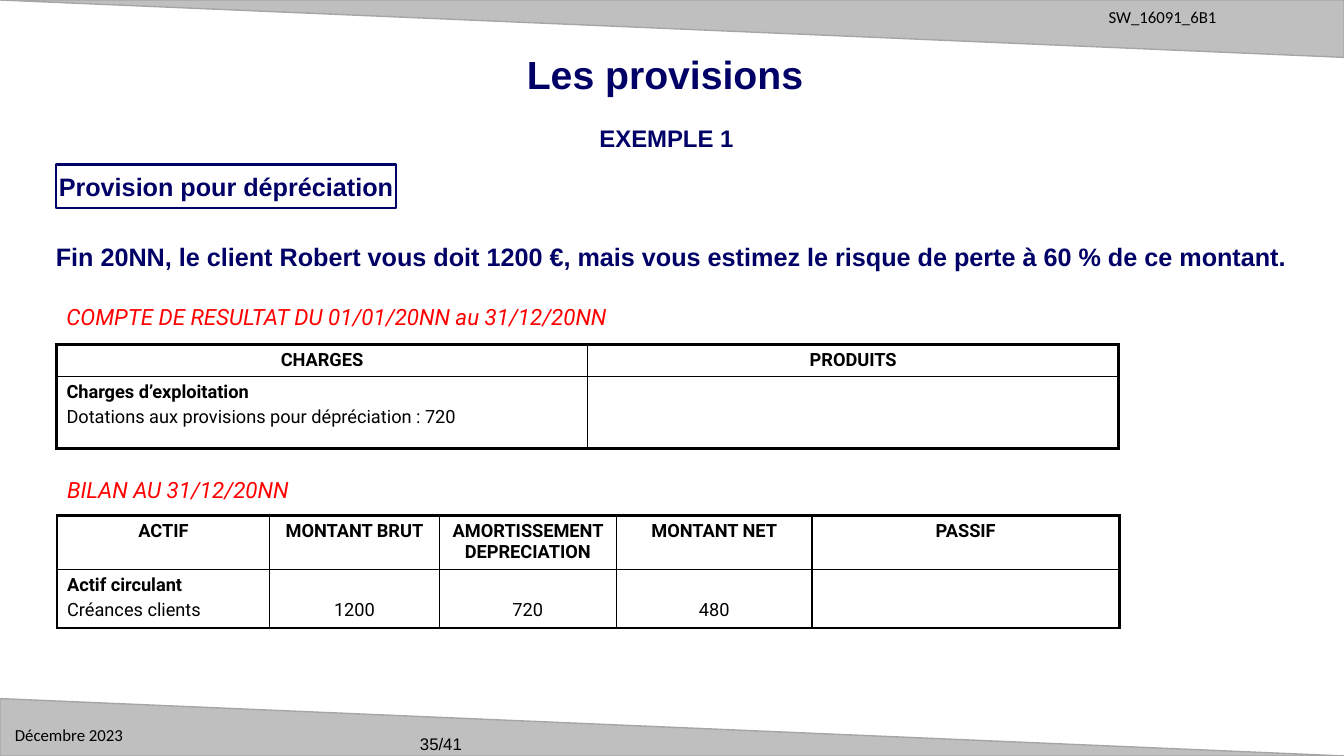
from dataclasses import dataclass

from lxml import etree
from pptx import Presentation
from pptx.dml.color import RGBColor
from pptx.enum.shapes import MSO_SHAPE
from pptx.enum.text import MSO_ANCHOR, MSO_AUTO_SIZE, PP_ALIGN
from pptx.oxml.ns import qn
from pptx.util import Pt

TRIANGLE, RECTANGLE = MSO_SHAPE.ISOSCELES_TRIANGLE, MSO_SHAPE.RECTANGLE
LEFT, CENTER = PP_ALIGN.LEFT, PP_ALIGN.CENTER
TOP, MIDDLE, BOTTOM = MSO_ANCHOR.TOP, MSO_ANCHOR.MIDDLE, MSO_ANCHOR.BOTTOM
NO_AUTOFIT = MSO_AUTO_SIZE.NONE
TITLE_ONLY = 5
PAGE_WIDTH, PAGE_HEIGHT = 960, 540


@dataclass(frozen=True)
class Style:
    font: str
    size: float
    color: str
    bold: bool = False
    italic: bool = False


@dataclass(frozen=True)
class Theme:
    white: str = "FFFFFF"
    navy: str = "000066"
    black: str = "000000"
    band: str = "BFBFBF"
    band_line: str = "A6A6A6"
    outer_border: float = 2.25
    inner_border: float = 1
    title: Style = Style("Arial", 28, "000066", bold=True)
    subtitle: Style = Style("Arial", 17.1, "000066", bold=True)
    statement: Style = Style("Arial", 18, "000066", bold=True)
    caption: Style = Style("Roboto", 16, "FF0000", italic=True)
    cell: Style = Style("Roboto", 13, "000000")
    cell_bold: Style = Style("Roboto", 13, "000000", bold=True)
    page_number: Style = Style("Arial", 12, "000000")
    footer: Style = Style("Calibri", 12, "000000")


THEME = Theme()


def write(frame, lines, align=LEFT):
    """Fill a text frame with one paragraph per (text, style) pair."""
    for index, (text, style) in enumerate(lines):
        para = frame.add_paragraph() if index else frame.paragraphs[0]
        para.alignment = align
        if index:
            para.space_before = Pt(0.2 * style.size)
        span = para.add_run()
        span.text = text
        font = span.font
        font.name, font.size = style.font, Pt(style.size)
        font.bold, font.italic = style.bold, style.italic
        font.color.rgb = RGBColor.from_string(style.color)


def add_label(page, box, text, style, align=LEFT, anchor=TOP, wrap=True):
    frame = page.shapes.add_textbox(*map(Pt, box)).text_frame
    frame.word_wrap = wrap
    frame.vertical_anchor = anchor
    write(frame, [(text, style)], align)


def add_panel(page, preset, box, fill, line, width):
    panel = page.shapes.add_shape(preset, *map(Pt, box))
    panel.shadow.inherit = False
    panel.fill.solid()
    panel.fill.fore_color.rgb = RGBColor.from_string(fill)
    panel.line.color.rgb = RGBColor.from_string(line)
    panel.line.width = Pt(width)
    return panel


def add_band(page, box, rotation=0):
    band = add_panel(page, TRIANGLE, box, THEME.band, THEME.band_line, 1)
    band.adjustments[0] = 0
    band.rotation = rotation


def add_header(page, box):
    left, top, width, height = box
    add_band(page, box, 180)
    add_label(page, (left + width - 175.2, top + 1.4, 172, 21.6),
              "SW_16091_6B1", THEME.footer)


def add_footer(page, box):
    left, top, width, height = box
    add_band(page, box)
    add_label(page, (left + 3.6, top + 15.1, 100, 21.6), "Décembre 2023", THEME.footer)
    add_label(page, (left + 275, top + 21.5, 80, 21.6), "35/41",
              THEME.page_number, CENTER)


def add_titles(page, box):
    left, top, width, height = box
    title = page.shapes.title
    title.left, title.top, title.width, title.height = map(Pt, box)
    frame = title.text_frame
    frame.auto_size = NO_AUTOFIT
    frame.word_wrap = False
    frame.vertical_anchor = MIDDLE
    write(frame, [("Les provisions", THEME.title)], CENTER)
    add_label(page, (left - 103, top + 52.5, 422, 28), "EXEMPLE 1",
              THEME.subtitle, CENTER, MIDDLE)


def add_case(page, box):
    """Framed topic above the sentence that states the case."""
    left, top, width, height = box
    topic = add_panel(page, RECTANGLE, (left, top, 243, 31),
                      THEME.white, THEME.navy, 1.5)
    frame = topic.text_frame
    frame.word_wrap = False
    frame.vertical_anchor = MIDDLE
    write(frame, [("Provision pour dépréciation", THEME.statement)], CENTER)
    add_label(page, (left - 10.5, top + height - 29, width, 29),
              "Fin 20NN, le client Robert vous doit 1200 €, mais vous estimez "
              "le risque de perte à 60 % de ce montant.",
              THEME.statement, CENTER)


def set_borders(cell, outer_sides):
    properties = cell._tc.get_or_add_tcPr()
    for index, side in enumerate("LRTB"):
        width = THEME.outer_border if side in outer_sides else THEME.inner_border
        line = etree.Element(qn(f"a:ln{side}"), w=str(Pt(width)))
        fill = etree.SubElement(line, qn("a:solidFill"))
        etree.SubElement(fill, qn("a:srgbClr"), val=THEME.black)
        properties.insert(index, line)


def add_statement(page, box, caption, columns, row_heights, headings, entries):
    """Red caption over a ruled table: a row of headings, a row of entries."""
    left, top, width, height = box
    add_label(page, (left, top, width, 27), caption, THEME.caption, wrap=False)
    table_top = top + height - sum(row_heights)
    table = page.shapes.add_table(2, len(columns), Pt(left), Pt(table_top),
                                  Pt(width), Pt(sum(row_heights))).table
    table.first_row = table.horz_banding = False
    for column, column_width in zip(table.columns, columns):
        column.width = Pt(column_width)
    for row, row_height in zip(table.rows, row_heights):
        row.height = Pt(row_height)

    last = len(columns) - 1
    for index, (heading, lines) in enumerate(zip(headings, entries)):
        sides = "L" * (index == 0) + "R" * (index == last)
        head, entry = table.cell(0, index), table.cell(1, index)
        for cell, edge in ((head, "T"), (entry, "B")):
            cell.fill.background()
            cell.margin_top = cell.margin_bottom = Pt(3.6)
            set_borders(cell, sides + edge)
        write(head.text_frame, [(heading, THEME.cell_bold)], CENTER)
        if index:
            entry.vertical_anchor = BOTTOM
            entry.margin_bottom = Pt(5)
        write(entry.text_frame, lines, CENTER if index else LEFT)


def add_provisions_page(deck):
    page = deck.slides.add_slide(deck.slide_layouts[TITLE_ONLY])
    add_header(page, (0, 0, PAGE_WIDTH, 41))
    add_footer(page, (0, PAGE_HEIGHT - 41, PAGE_WIDTH, 41))
    add_titles(page, (368, 32, 214, 42))
    add_case(page, (40, 117.5, 900, 80.5))
    add_statement(
        page, (40.3, 213, 758.8, 107.3),
        "COMPTE DE RESULTAT DU 01/01/20NN au 31/12/20NN",
        (379.4, 379.4), (22.9, 51.4), ("CHARGES", "PRODUITS"),
        ([("Charges d’exploitation", THEME.cell_bold),
          ("Dotations aux provisions pour dépréciation : 720", THEME.cell)], []))
    amounts = [[(amount, THEME.cell)] for amount in ("1200", "720", "480")]
    add_statement(
        page, (40.8, 336.5, 758.8, 112.1), "BILAN AU 31/12/20NN",
        (151.9, 121, 126.7, 139.7, 219.5), (38.6, 41.8),
        ("ACTIF", "MONTANT BRUT", "AMORTISSEMENT DEPRECIATION", "MONTANT NET", "PASSIF"),
        ([("Actif circulant", THEME.cell_bold),
          ("Créances clients", THEME.cell)], *amounts, []))


def main():
    deck = Presentation()
    deck.slide_width, deck.slide_height = Pt(PAGE_WIDTH), Pt(PAGE_HEIGHT)
    add_provisions_page(deck)
    deck.save("out.pptx")


if __name__ == "__main__":
    main()
